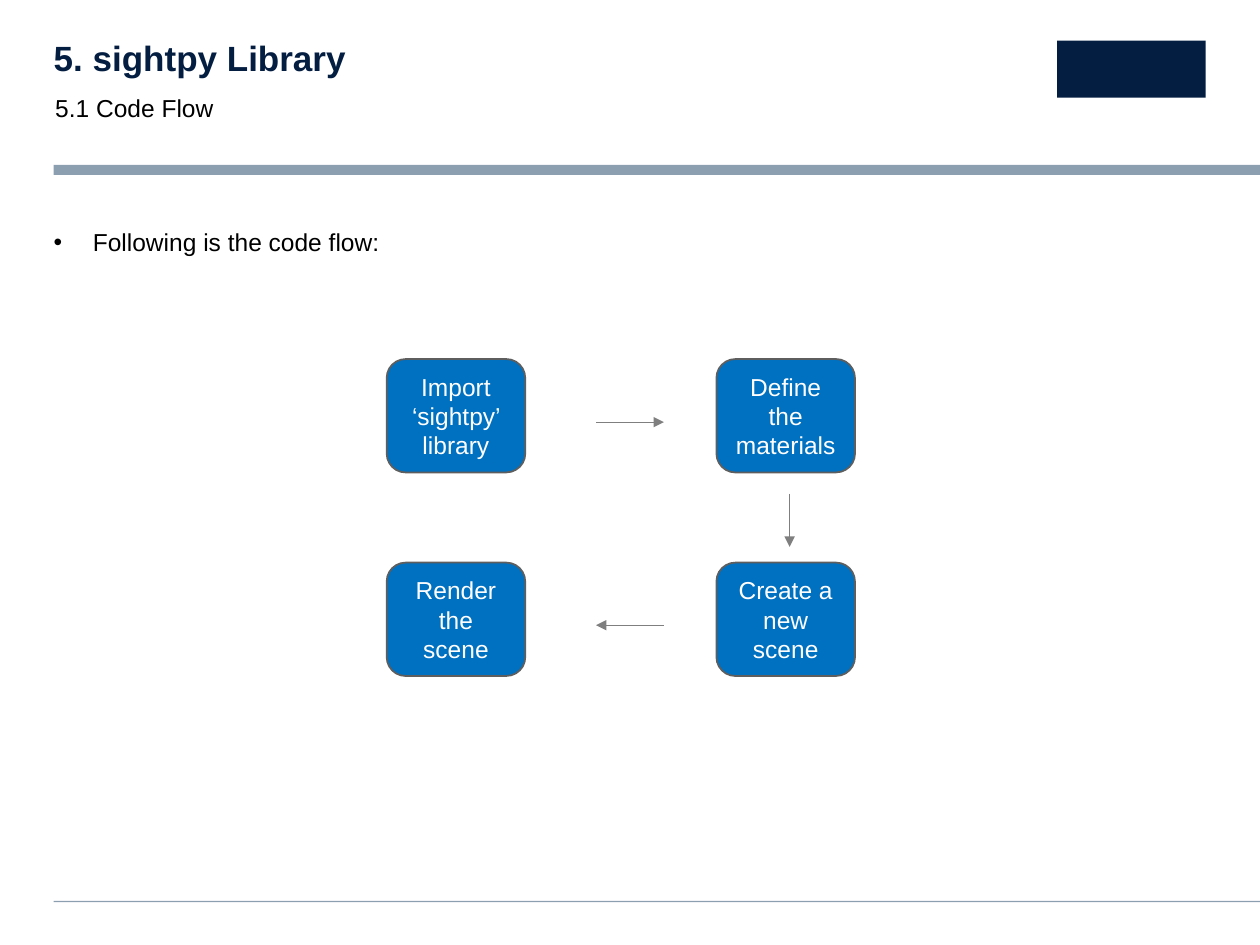
from dataclasses import dataclass

import pptx
import pptx.dml.color
import pptx.enum.shapes
import pptx.enum.text
import pptx.oxml.ns
import pptx.util
from lxml import etree

Pt = pptx.util.Pt
SHAPE = pptx.enum.shapes.MSO_SHAPE
ALIGN = pptx.enum.text.PP_ALIGN
ANCHOR = pptx.enum.text.MSO_ANCHOR
qn = pptx.oxml.ns.qn


@dataclass(frozen=True)
class Theme:
    font: str = "Arial"
    title_size: int = 20
    body_size: int = 14
    navy: str = "041E42"
    rule: str = "8C9FB1"
    box: str = "0070C0"
    outline: str = "5E5E5E"
    arrow: str = "7F7F7F"
    black: str = "000000"
    white: str = "FFFFFF"


THEME = Theme()
MARGIN = 30.7
BOX_W, BOX_H = 79.2, 64.8


def rgb(value):
    return pptx.dml.color.RGBColor.from_string(value)


def set_text(tf, text, size, color, bold=False, align=ALIGN.LEFT, spacing=None):
    tf.word_wrap = True
    tf.text = text
    p = tf.paragraphs[0]
    p.alignment = align
    p.line_spacing = spacing
    font = p.runs[0].font
    font.name, font.size, font.bold = THEME.font, Pt(size), bold
    font.color.rgb = rgb(color)
    return p


def set_insets(tf, left=0, top=0, right=0, bottom=0):
    tf.margin_left, tf.margin_top = Pt(left), Pt(top)
    tf.margin_right, tf.margin_bottom = Pt(right), Pt(bottom)


def add_title(s, text):
    sp = s.shapes.title
    sp.left, sp.top, sp.width, sp.height = Pt(MARGIN), Pt(23.8), Pt(404), Pt(21.6)
    tf = sp.text_frame
    set_insets(tf)
    tf.vertical_anchor = ANCHOR.TOP
    set_text(tf, text, THEME.title_size, THEME.navy, bold=True, spacing=0.9)


def add_text(s, text, x, y, w, h):
    tf = s.shapes.add_textbox(Pt(x), Pt(y), Pt(w), Pt(h)).text_frame
    p = set_text(tf, text, THEME.body_size, THEME.black, spacing=1.1)
    p.space_after = Pt(8)
    return tf


def add_bullet(p, indent):
    pPr = p._p.get_or_add_pPr()
    pPr.set("marL", str(Pt(indent)))
    pPr.set("indent", str(-Pt(indent)))
    etree.SubElement(pPr, qn("a:buFont")).set("typeface", THEME.font)
    etree.SubElement(pPr, qn("a:buChar")).set("char", "•")


def add_block(s, x, y, w, h, fill, kind=SHAPE.RECTANGLE):
    sp = s.shapes.add_shape(kind, Pt(x), Pt(y), Pt(w), Pt(h))
    sp.shadow.inherit = False
    sp.fill.solid()
    sp.fill.fore_color.rgb = rgb(fill)
    sp.line.fill.background()
    return sp


def add_step(s, text, x, y):
    sp = add_block(s, x, y, BOX_W, BOX_H, THEME.box, SHAPE.ROUNDED_RECTANGLE)
    sp.line.color.rgb = rgb(THEME.outline)
    sp.line.width = Pt(1)
    sp.text_frame.vertical_anchor = ANCHOR.MIDDLE
    set_text(sp.text_frame, text, THEME.body_size, THEME.white, align=ALIGN.CENTER)


def add_arrow(s, x1, y1, x2, y2):
    line = s.shapes.add_connector(
        pptx.enum.shapes.MSO_CONNECTOR.STRAIGHT, Pt(x1), Pt(y1), Pt(x2), Pt(y2))
    line.line.color.rgb = rgb(THEME.arrow)
    line.line.width = Pt(0.5)
    etree.SubElement(line.line._get_or_add_ln(), qn("a:tailEnd")).set("type", "triangle")
    etree.SubElement(line._element.spPr, qn("a:effectLst"))


def main():
    prs = pptx.Presentation()
    prs.slide_width, prs.slide_height = Pt(720), Pt(540)
    s = prs.slides.add_slide(prs.slide_layouts[5])

    # Header and footer rules, with a plain block in the logo position
    add_block(s, MARGIN, 94.3, 720 - MARGIN, 5.6, THEME.rule)
    add_block(s, MARGIN, 514.8, 720 - MARGIN, 0.8, THEME.rule)
    add_block(s, 604, 23.2, 85, 32.6, THEME.navy)

    # Headings and introduction
    add_title(s, "5. sightpy Library")
    add_text(s, "5.1 Code Flow", 24.5, 48.2, 404, 17.3)
    tf = add_text(s, "Following is the code flow:", MARGIN, 128.2, 659, 360)
    set_insets(tf, right=28)
    add_bullet(tf.paragraphs[0], 22.4)

    # Steps, clockwise from the top left
    left, right, top, bottom = 221, 409.4, 205.2, 321.5
    add_step(s, "Import ‘sightpy’ library", left, top)
    add_step(s, "Define the materials", right, top)
    add_step(s, "Create a new scene", right, bottom)
    add_step(s, "Render the scene", left, bottom)

    # Arrows between the steps
    add_arrow(s, 340.6, 241.2, 379.4, 241.2)
    add_arrow(s, 451.2, 282.2, 451.2, 312.5)
    add_arrow(s, 379.4, 357.3, 340.6, 357.3)

    prs.save("out.pptx")


if __name__ == "__main__":
    main()
